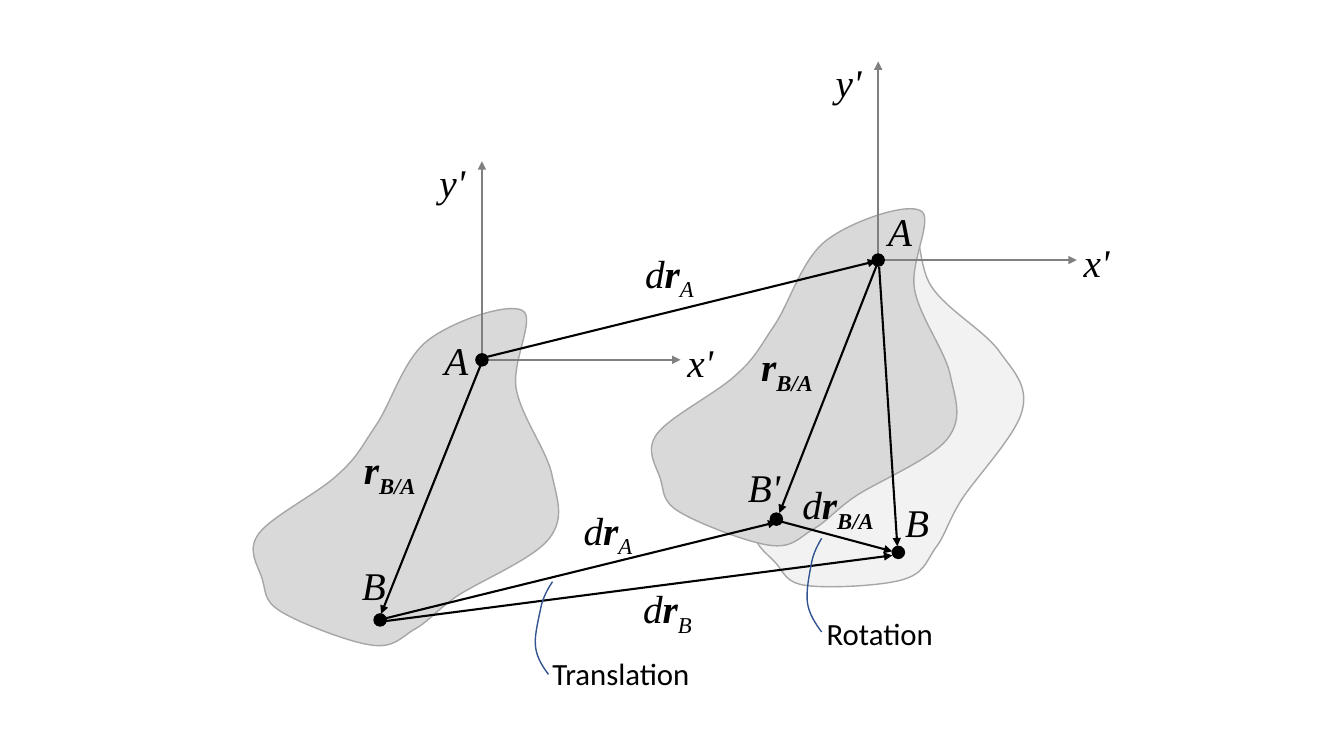
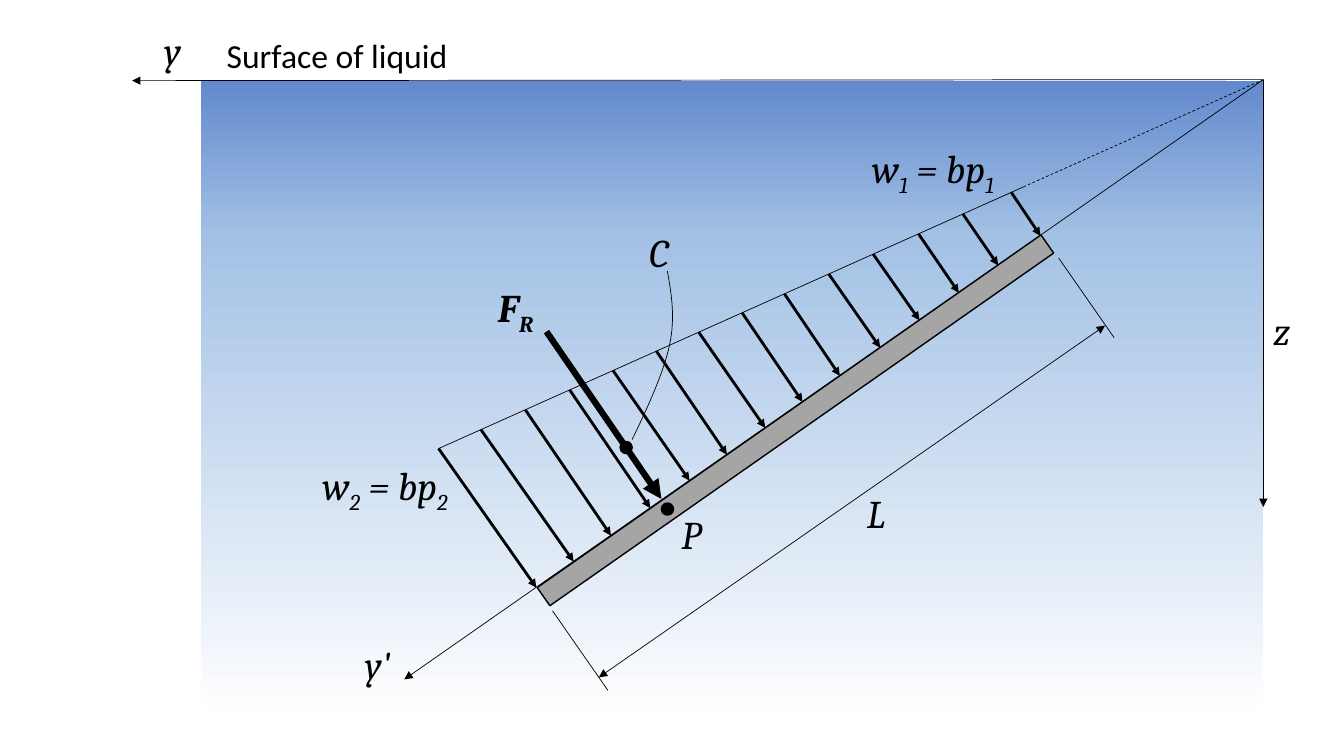
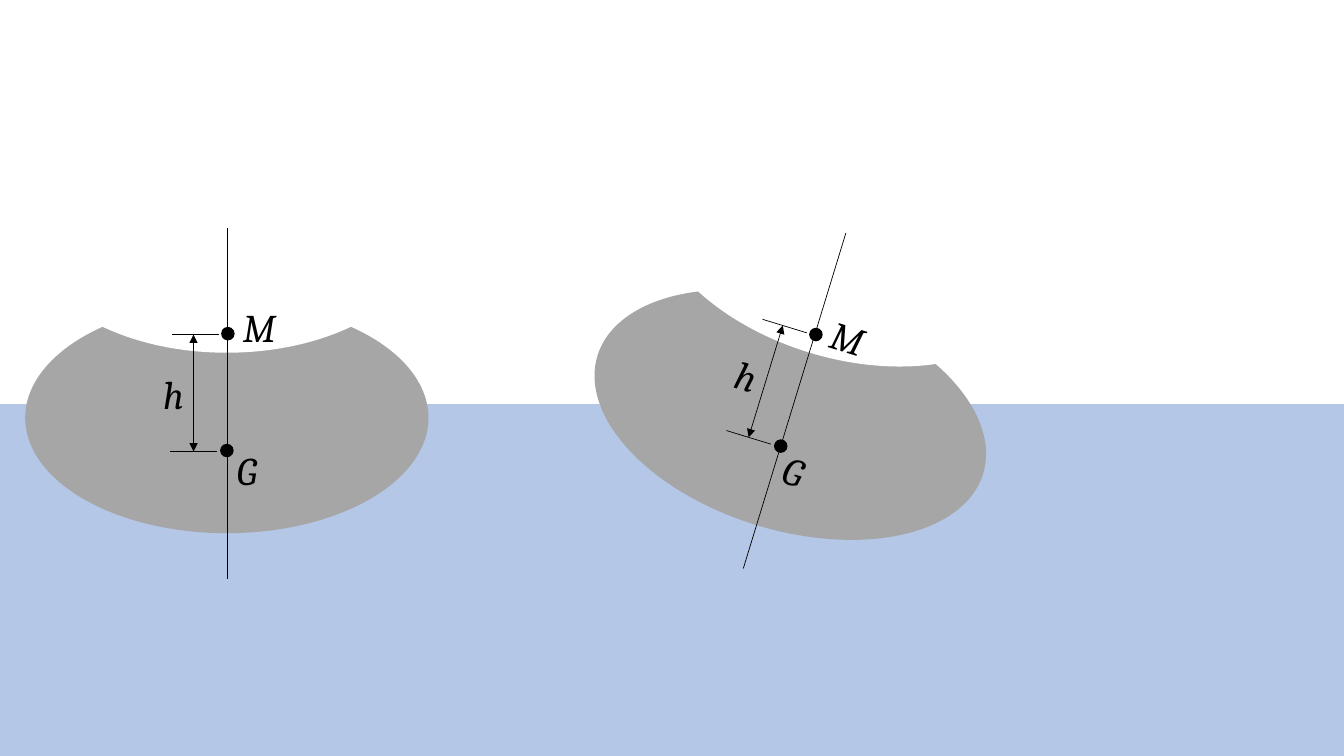
import copy
import math

from pptx import Presentation
from pptx import util as u
from pptx.dml.color import RGBColor
from pptx.enum import dml, shapes
from pptx.oxml import ns, xmlchemy

# Shared scale, colours and fonts (100 px to the inch)
PX = 9144
WIDTH, HEIGHT = 1333, 750
BLACK, WHITE, AXIS = "000000", "FFFFFF", "808080"
EDGE, BODY, TURNED_BODY = "A6A6A6", "D9D9D9", "F2F2F2"
BEAM, HULL, WATER, POINTER = "A5A5A5", "A6A6A6", "B4C7E7", "325491"
LIQUID = [(0, "6289CD"), (0.24, "A3C1E5"), (0.99, "FFFFFF")]
TIMES, CAMBRIA, PLAIN = "Times New Roman", "Cambria", "Calibri"

# Outline of the moving body: a start point, then three points per curve
BODY_OUTLINE = [
    (454, 591),
    (477, 576), (530, 554), (545, 534), (561, 513), (552, 494), (547, 469),
    (541, 445), (517, 413), (512, 386), (507, 359), (532, 315), (518, 308),
    (503, 300), (448, 319), (424, 338), (400, 357), (388, 400), (373, 422),
    (358, 444), (355, 453), (335, 471), (316, 489), (270, 512), (257, 529),
    (244, 546), (256, 561), (260, 574), (264, 587), (261, 596), (279, 607),
    (297, 618), (346, 637), (368, 640), (390, 643), (396, 634), (410, 625),
    (425, 617), (432, 606), (454, 591),
]
BODY_CENTRE = (411, 486)

# Load arrows: where they leave the load line and where they meet the beam
LOAD_TAILS = [435, 477, 521, 565, 608, 651, 693, 736, 778, 822, 866, 911, 955, 1003]
LOAD_TIPS = [532, 569, 606, 645, 684, 721, 759, 796, 833, 873, 912, 951, 990, 1032]


def emu(px):
    return u.Emu(round(px * PX))


def colour(value):
    return RGBColor.from_string(value)


def turn(point, pivot, moved_pivot, angle):
    """Move a point with its pivot and turn it clockwise by angle degrees."""
    dx, dy = point[0] - pivot[0], point[1] - pivot[1]
    cos, sin = math.cos(math.radians(angle)), math.sin(math.radians(angle))
    return (moved_pivot[0] + dx * cos - dy * sin,
            moved_pivot[1] + dx * sin + dy * cos)


def y_on(x, start, end):
    return start[1] + (x - start[0]) * (end[1] - start[1]) / (end[0] - start[0])


def paint(shape, fill=None, edge=None, weight=1):
    shape.shadow.inherit = False
    if fill:
        shape.fill.solid()
        shape.fill.fore_color.rgb = colour(fill)
    else:
        shape.fill.background()
    if edge:
        shape.line.color.rgb = colour(edge)
        shape.line.width = u.Pt(weight)
    else:
        shape.line.fill.background()


def preset(slide, kind, box, fill, edge=None, rotation=0):
    shape = slide.shapes.add_shape(kind, *map(emu, box))
    paint(shape, fill, edge)
    shape.rotation = rotation
    return shape


def dot(slide, centre):
    x, y = centre
    preset(slide, shapes.MSO_SHAPE.OVAL, (x - 6, y - 6, 12, 12), BLACK, BLACK)


def line(slide, start, end, weight, ends="", stroke=BLACK, dashed=False):
    """Straight line; ends lists the arrowheads, "head" and/or "tail"."""
    connector = slide.shapes.add_connector(
        shapes.MSO_CONNECTOR.STRAIGHT, *map(emu, (*start, *end)))
    connector.line.color.rgb = colour(stroke)
    connector.line.width = u.Pt(weight)
    if dashed:
        connector.line.dash_style = dml.MSO_LINE.DASH
    outline = connector.line._get_or_add_ln()
    for end_name in ends.split():
        arrowhead = xmlchemy.OxmlElement(f"a:{end_name}End")
        arrowhead.set("type", "triangle")
        outline.append(arrowhead)
    connector._element.spPr.append(xmlchemy.OxmlElement("a:effectLst"))


def curve(slide, points, edge, weight=1, fill=None):
    """Outline of cubic curves, closed when it has a fill."""
    corners = [(emu(x), emu(y)) for x, y in points]
    builder = slide.shapes.build_freeform(*corners[0])
    builder.add_line_segments(corners[1:], close=bool(fill))
    shape = builder.convert_to_shape()
    paint(shape, fill, edge, weight)
    outline = shape._element.spPr.find(".//" + ns.qn("a:path"))
    steps = outline.findall(ns.qn("a:lnTo"))
    for i in range(0, len(steps), 3):
        bezier = xmlchemy.OxmlElement("a:cubicBezTo")
        steps[i].addprevious(bezier)
        for step in steps[i:i + 3]:
            bezier.append(step[0])
            outline.remove(step)


def label(slide, corner, runs, font=CAMBRIA, size=28, width=92, height=57, rotation=0):
    """Text box; runs are (text, style) with b for bold and s for subscript."""
    box = slide.shapes.add_textbox(*map(emu, (*corner, width, height)))
    box.rotation = rotation
    box.text_frame.word_wrap = True
    paragraph = box.text_frame.paragraphs[0]
    for words, style in [(runs, "")] if isinstance(runs, str) else runs:
        run = paragraph.add_run()
        run.text = words
        if "b" in style:
            run.font.bold = True
        if "s" in style:
            run._r.get_or_add_rPr().set("baseline", "-25000")
    paragraph.font.name = font
    paragraph.font.size = u.Pt(size)
    paragraph.font.italic = font != PLAIN
    paragraph.font.color.rgb = colour(BLACK)


# Slide 1: motion of a rigid body
def body(slide, centre, angle, fill):
    outline = [turn(point, BODY_CENTRE, centre, angle) for point in BODY_OUTLINE]
    curve(slide, outline, EDGE, fill=fill)


def moving_axes(slide, origin):
    x, y = origin
    label(slide, (x + 194, y - 26), "x'", TIMES)
    label(slide, (x - 52, y - 205), "y'", TIMES)
    for tip in [(x, y - 197), (x + 197, y)]:
        line(slide, origin, tip, 1.5, "tail", AXIS)
    dot(slide, origin)


def rigid_body(slide):
    body(slide, (872, 417), -23.8, TURNED_BODY)
    body(slide, (806, 387), 0, BODY)
    body(slide, BODY_CENTRE, 0, BODY)

    for origin in [(871, 258), (478, 357)]:
        moving_axes(slide, origin)
    for point in [(891, 548), (377, 615), (770, 515)]:
        dot(slide, point)

    vectors = [
        ((478, 359), (378, 609)), ((475, 356), (869, 259)),
        ((376, 617), (885, 551)), ((872, 257), (773, 509)),
        ((872, 265), (890, 542)), ((376, 615), (770, 518)),
        ((773, 517), (885, 547)),
    ]
    for start, end in vectors:
        line(slide, start, end, 1.5, "tail")

    shift_a = [("d", ""), ("r", "b"), ("A", "s")]
    shift_b = [("d", ""), ("r", "b"), ("B", "s")]
    relative = [("r", "b"), ("B/A", "bs")]
    names = [
        ((871, 201), "A"), ((431, 329), "A"),
        ((888, 489), "B"), ((349, 552), "B"), ((732, 455), "B'"),
        ((630, 242), shift_a), ((569, 497), shift_a), ((628, 575), shift_b),
        ((351, 437), relative), ((745, 335), relative),
        ((786, 472), [("d", "")] + relative),
    ]
    for corner, runs in names:
        label(slide, corner, runs, TIMES, width=105)

    label(slide, (538, 645), "Translation", PLAIN, 22, 214, 47)
    label(slide, (810, 605), "Rotation", PLAIN, 22, 155, 47)
    curve(slide, [(544, 669), (538, 661), (532, 652), (531, 640),
                  (530, 629), (535, 611), (537, 600),
                  (540, 590), (544, 583), (548, 577)], POINTER)
    curve(slide, [(815, 627), (809, 619), (803, 610), (801, 599),
                  (799, 587), (803, 569), (805, 558),
                  (807, 548), (811, 541), (815, 534)], POINTER)


# Slide 2: pressure on a submerged plate
def liquid(slide, box):
    shape = preset(slide, shapes.MSO_SHAPE.RECTANGLE, box, WHITE)
    shape.fill.gradient()
    shape.fill.gradient_angle = 270
    stops = shape._element.spPr.find(".//" + ns.qn("a:gsLst"))
    stops.append(copy.deepcopy(stops[-1]))
    for stop, (position, value) in zip(shape.fill.gradient_stops, LIQUID):
        stop.position = position
        stop.color.rgb = colour(value)


def submerged_plate(slide):
    origin = (1253, 79)
    load_start, load_end = (435, 445), (1016, 185)
    beam_start, beam_end = (532, 583), (1032, 234)

    # Liquid, axes and plate
    liquid(slide, (199, 80, 1054, 640))
    for tip in [(1253, 503), (131, 80), (401, 674)]:
        line(slide, origin, tip, 0.5, "tail")
    preset(slide, shapes.MSO_SHAPE.RECTANGLE, (484, 406, 610, 22), BEAM, BLACK, 325)

    # Distributed load and its resultant
    line(slide, origin, load_end, 0.5, dashed=True)
    line(slide, load_end, load_start, 0.5)
    for tail, tip in zip(LOAD_TAILS, LOAD_TIPS):
        line(slide, (tail, y_on(tail, load_start, load_end)),
             (tip, y_on(tip, beam_start, beam_end)), 2, "tail")
    line(slide, (542, 329), (656, 495), 4.5, "tail")
    for point in [(662, 505), (621, 444)]:
        dot(slide, point)
    curve(slide, [(662, 269), (666, 292), (670, 315), (664, 343),
                  (658, 370), (643, 403), (627, 436)], BLACK, 0.5)

    # Length of the plate
    for start, end in [((548, 606), (603, 685)), ((1050, 256), (1105, 335))]:
        line(slide, start, end, 0.5)
    line(slide, (594, 672), (1096, 323), 0.5, "head tail")

    names = [
        ((1253, 299), "z"), ((153, 21), "y"), ((352, 630), "y'"),
        ((666, 501), "P"), ((850, 481), "L"), ((634, 222), "C"),
        ((484, 276), [("F", "b"), ("R", "bs")]),
    ]
    for corner, runs in names:
        label(slide, corner, runs)
    for corner, index in [((855, 138), "1"), ((310, 453), "2")]:
        load = [("w", ""), (index, "s"), (" = bp", ""), (index, "s")]
        label(slide, corner, load, width=198)
    label(slide, (215, 30), "Surface of liquid", PLAIN, 24, 260, 50)


# Slide 3: stability of a floating hull
def boat(slide, centre, angle):
    def place(x, y):
        return turn((x, y), (225, 414), centre, angle)

    def framed(x, y, width, height):
        middle_x, middle_y = place(x + width / 2, y + height / 2)
        return middle_x - width / 2, middle_y - height / 2, width, height

    # Hull, hollowed by a chord in the background colour
    for box, arc, fill in [((25, 300, 400, 229), (323.55, 216.21), HULL),
                           ((25, 107, 400, 243), (340.96, 198.76), WHITE)]:
        chord = preset(slide, shapes.MSO_SHAPE.CHORD, framed(*box), fill, rotation=angle)
        for i, degrees in enumerate(arc):
            chord.adjustments[i] = degrees * 0.6

    # Centre line and the height between G and M
    for start, end, ends in [((225, 226), (225, 574), ""),
                             ((192, 448), (192, 332), "head tail"),
                             ((171, 332), (217, 332), ""),
                             ((169, 448), (215, 448), "")]:
        line(slide, place(*start), place(*end), 0.5, ends)
    for point in [(225, 447), (226, 331)]:
        dot(slide, place(*point))
    for corner, name in [((225, 438), "G"), ((231, 296), "M"), ((152, 362), "h")]:
        label(slide, framed(*corner, 92, 57)[:2], name, rotation=angle)


def floating_hull(slide):
    preset(slide, shapes.MSO_SHAPE.RECTANGLE, (0, 401, WIDTH, HEIGHT - 401), WATER)
    boat(slide, (225, 414), 0)
    boat(slide, (784, 411), 17)


def main():
    deck = Presentation()
    deck.slide_width, deck.slide_height = emu(WIDTH), emu(HEIGHT)
    for draw in [rigid_body, submerged_plate, floating_hull]:
        draw(deck.slides.add_slide(deck.slide_layouts[6]))
    deck.save("out.pptx")


if __name__ == "__main__":
    main()
